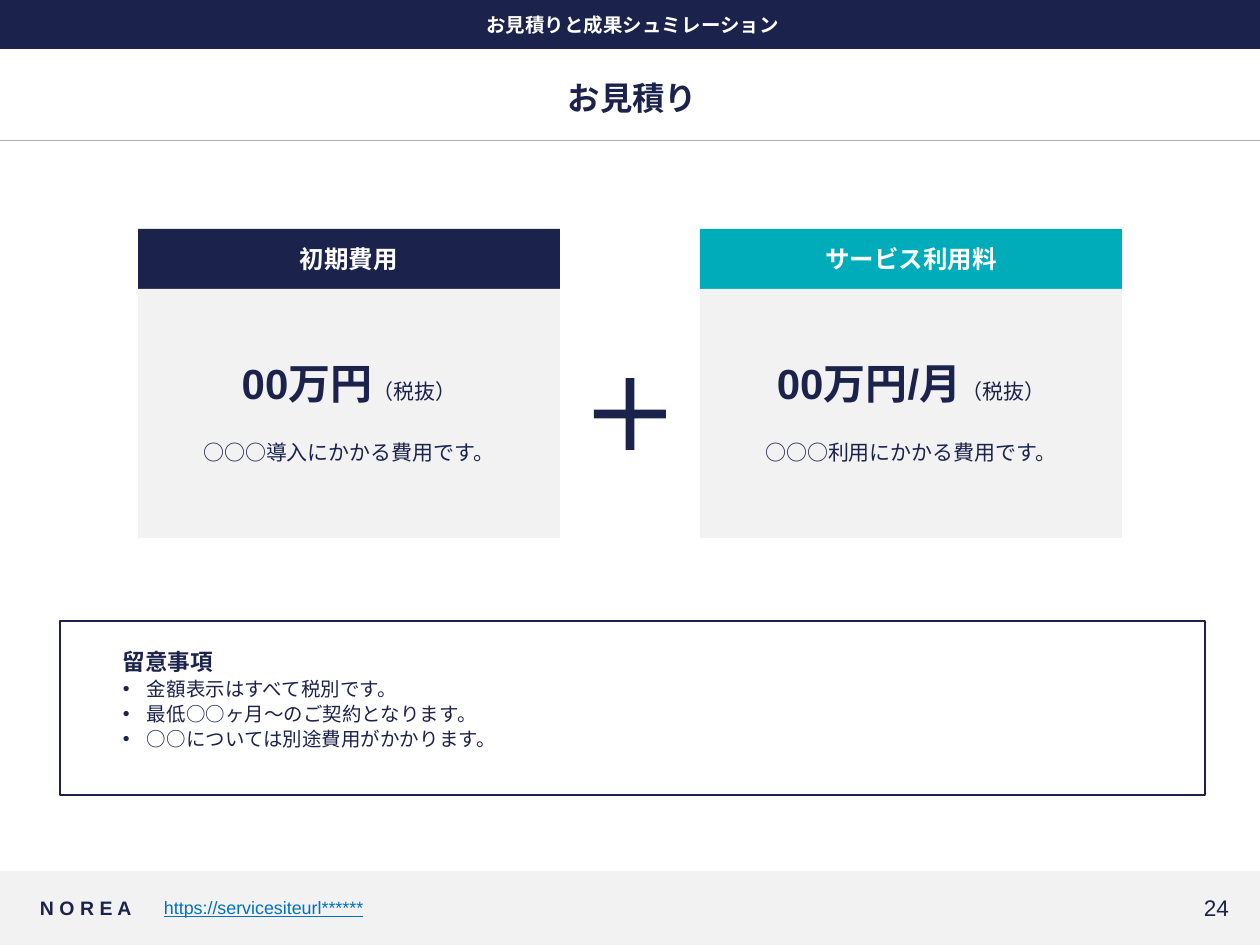
from lxml.etree import SubElement
from pptx import Presentation
from pptx.dml.color import RGBColor
from pptx.enum.shapes import MSO_CONNECTOR, MSO_SHAPE
from pptx.enum.text import MSO_ANCHOR, PP_ALIGN
from pptx.oxml.ns import qn
from pptx.util import Pt

# Content
NAVY, TEAL, GREY, WHITE = "1B224C", "00ACBA", "F2F2F2", "FFFFFF"
LATIN, CJK = "Arial", "Noto Sans CJK JP"
SECTION = "お見積りと成果シュミレーション"
TITLE = "お見積り"
CARDS = [
    ("初期費用", NAVY, "00万円", "○○○導入にかかる費用です。"),
    ("サービス利用料", TEAL, "00万円/月", "○○○利用にかかる費用です。"),
]
TAX = "（税抜）"
NOTES_HEAD = "留意事項"
NOTES = [
    "金額表示はすべて税別です。",
    "最低○○ヶ月～のご契約となります。",
    "○○については別途費用がかかります。",
]
BRAND, URL, PAGE = "N O R E A", "https://servicesiteurl******", "24"

# Layout in px
W, H = 1260, 945
CARD_X, CARD_Y, CARD_W, CARD_STEP = 138, 229, 422, 562
HEAD_H, BODY_H = 60, 249
FOOT_Y, FOOT_H = 888, 39
CENTER, RIGHT = PP_ALIGN.CENTER, PP_ALIGN.RIGHT


def px(n):
    return round(n * 914400 / 126)


def rgb(value):
    return RGBColor.from_string(value)


def add_rect(s, box, fill=None, line=None, kind=MSO_SHAPE.RECTANGLE):
    sp = s.shapes.add_shape(kind, *map(px, box))
    sp.shadow.inherit = False
    if fill:
        sp.fill.solid()
        sp.fill.fore_color.rgb = rgb(fill)
    else:
        sp.fill.background()
    if line:
        sp.line.color.rgb = rgb(line)
        sp.line.width = Pt(1)
    else:
        sp.line.fill.background()
    return sp


def set_frame(sp, anchor=MSO_ANCHOR.MIDDLE, wrap=True, insets=(5, 5, 5, 5)):
    tf = sp.text_frame
    tf.word_wrap = wrap
    tf.vertical_anchor = anchor
    sides = ("left", "top", "right", "bottom")
    for side, inset in zip(sides, insets):
        setattr(tf, f"margin_{side}", px(inset))
    return tf


def add_run(p, text, size, color=NAVY, name=LATIN, **fmt):
    r = p.add_run()
    r.text = text
    for key, value in {"size": Pt(size), "name": name, **fmt}.items():
        setattr(r.font, key, value)
    r.font.color.rgb = rgb(color)
    ea = SubElement(r.font._element, qn("a:ea"))
    ea.set("typeface", CJK)


def add_line(tf, text, size, align=None, **fmt):
    p = tf.paragraphs[0]
    p.alignment = align
    add_run(p, text, size, **fmt)


def add_label(s, box, text, size, align=None, wrap=True, **fmt):
    sp = s.shapes.add_textbox(*map(px, box))
    add_line(set_frame(sp, wrap=wrap), text, size, align, **fmt)


def add_bullet(p):
    pPr = p._p.get_or_add_pPr()
    pPr.set("marL", str(px(24)))
    pPr.set("indent", str(px(-24)))
    SubElement(pPr, qn("a:buFont")).set("typeface", LATIN)
    SubElement(pPr, qn("a:buChar")).set("char", "•")


prs = Presentation()
prs.slide_width, prs.slide_height = px(W), px(H)
s = prs.slides.add_slide(prs.slide_layouts[6])

# Footer
add_rect(s, (0, 871, W, 74), GREY)
add_label(s, (159, FOOT_Y, 917, FOOT_H), URL, 10.2, color="0070C0", underline=True)
add_label(s, (35, FOOT_Y, 123, FOOT_H), BRAND, 11.1, wrap=False, bold=True)
add_label(s, (1110, FOOT_Y, 124, FOOT_H), PAGE, 12.9, RIGHT, wrap=False)

# Header and title
rule = s.shapes.add_connector(MSO_CONNECTOR.STRAIGHT, 0, px(140), px(W), px(140))
rule.line.color.rgb = rgb("AFAFAF")
rule.line.width = Pt(0.5)
SubElement(rule._element.spPr, qn("a:effectLst"))
add_rect(s, (0, -1, W, 50), NAVY)
add_label(s, (60, 73, 1145, 49), TITLE, 18.5, CENTER, name=CJK, bold=True)
add_label(s, (60, 7, 1145, 35), SECTION, 11.1, CENTER, color=WHITE, name=CJK, bold=True)

# Price cards
for i, (head, color, price, text) in enumerate(CARDS):
    x = CARD_X + i * CARD_STEP
    sp = add_rect(s, (x, CARD_Y, CARD_W, HEAD_H), color)
    add_line(set_frame(sp), head, 14, CENTER, color=WHITE, name=CJK, bold=True)

    sp = add_rect(s, (x, CARD_Y + HEAD_H, CARD_W, BODY_H), GREY)
    tf = set_frame(sp, insets=(15, 15, 15, 20))
    add_line(tf, price, 24, CENTER, bold=True)
    add_run(tf.paragraphs[0], TAX, 12)
    p = tf.add_paragraph()
    p.alignment = CENTER
    add_run(p, text, 12)
    p.space_before = Pt(18)
    p.space_after = Pt(4)

# Plus sign between the cards
plus = add_rect(s, (594, 378, 72, 72), NAVY, kind=MSO_SHAPE.CROSS)
plus.adjustments[0] = 0.44

# Notes
add_rect(s, (60, 621, 1145, 174), line=NAVY)
sp = s.shapes.add_textbox(*map(px, (103, 633, 1053, 137)))
tf = set_frame(sp, MSO_ANCHOR.TOP, insets=(20, 15, 5, 15))
add_line(tf, NOTES_HEAD, 12.9, name=CJK, bold=True)
for note in NOTES:
    p = tf.add_paragraph()
    add_bullet(p)
    p.space_before = Pt(1)
    add_run(p, note, 11.1, name=CJK)

prs.save("out.pptx")
